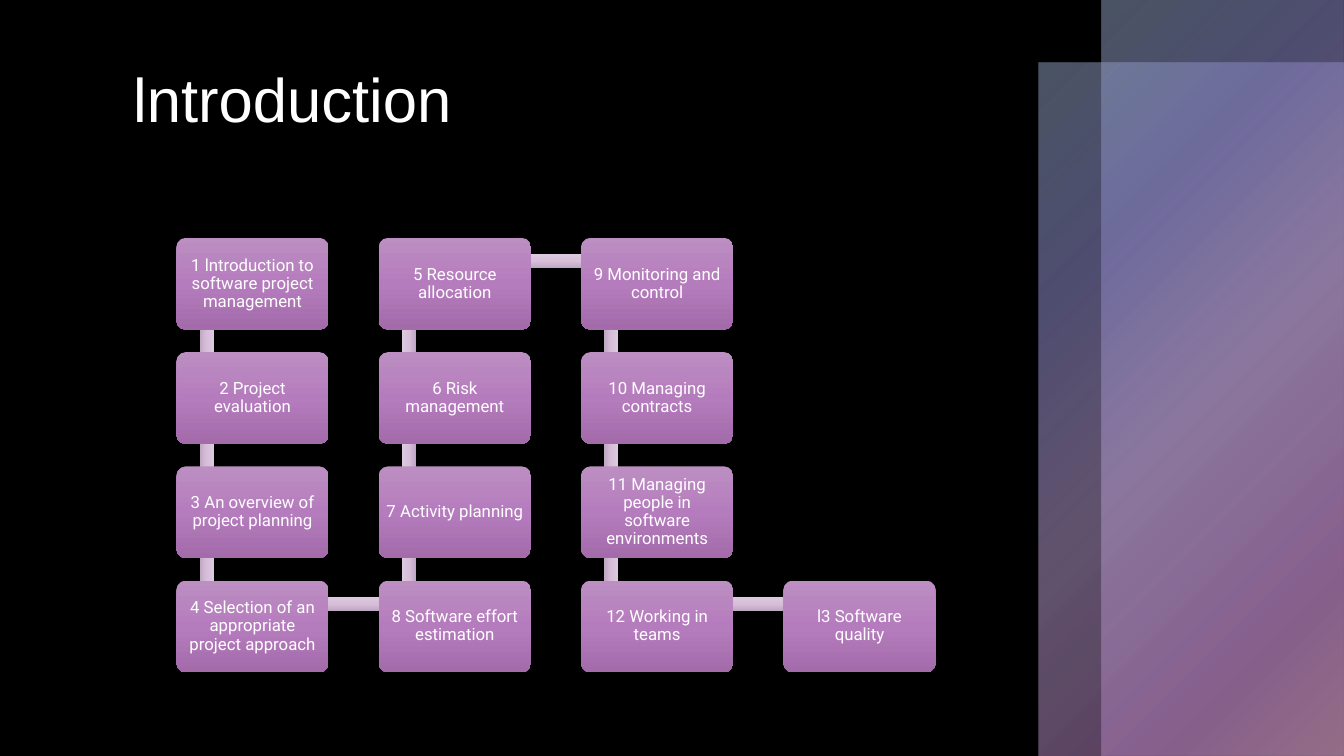
from lxml.etree import fromstring
from pptx import Presentation
from pptx.dml.color import RGBColor
from pptx.enum.shapes import MSO_SHAPE
from pptx.enum.text import MSO_ANCHOR, PP_ALIGN
from pptx.oxml.ns import nsdecls
from pptx.util import Inches, Pt

HEX = {
    "back": "000000", "text": "FFFFFF",
    "slate": "92A4C4", "blue": "827FBA", "lilac": "AD96C6",
    "plum": "B37FBA", "rose": "C593B5",
    "pale": "DCC9DF", "mist": "D7BFDA", "dusk": "C0A8C4",
    "light": "BC8EC2", "mid": "B57CBD", "deep": "A46BAB",
}
PANEL = [(0, "slate", 50), (25, "blue", 60), (50, "lilac", 55),
         (81, "plum", 50), (99, "rose", 50)]
LINK = [(0, "pale", 100), (50, "mist", 100), (100, "dusk", 100)]
CARD = [(0, "light", 100), (50, "mid", 100), (100, "deep", 100)]
DOWN = '<a:lin ang="5400000" scaled="0"/>'
ROUND = '<a:path path="circle"><a:fillToRect r="100000" b="100000"/></a:path>'

TOPICS = [
    ("1 lntroduction to software project management", 0, 0),
    ("2 Project evaluation", 0, 1),
    ("3 An overview of project planning", 0, 2),
    ("4 Selection of an appropriate project approach", 0, 3),
    ("8 Software effort estimation", 1, 3),
    ("7 Activity planning", 1, 2),
    ("6 Risk management", 1, 1),
    ("5 Resource allocation", 1, 0),
    ("9 Monitoring and control", 2, 0),
    ("10 Managing contracts", 2, 1),
    ("11 Managing people in software environments", 2, 2),
    ("12 Working in teams", 2, 3),
    ("l3 Software quality", 3, 3),
]


def assign(item, values):
    """Set each attribute in a dict of format values."""
    for name, value in values.items():
        setattr(item, name, value)


def shade(shape, stops, mode):
    """Fill a shape with a gradient of the given stops."""
    marks = "".join(
        f'<a:gs pos="{pos * 1000}"><a:srgbClr val="{HEX[tone]}">'
        f'<a:alpha val="{alpha * 1000}"/></a:srgbClr></a:gs>'
        for pos, tone, alpha in stops)
    grad = fromstring(f'<a:gradFill {nsdecls("a")} rotWithShape="1">'
                      f'<a:gsLst>{marks}</a:gsLst>{mode}</a:gradFill>')
    shape.fill.background()
    old = shape.fill._xPr.find("{*}noFill")
    old.getparent().replace(old, grad)


def block(slide, kind, box, stops, mode=DOWN):
    """Draw one borderless gradient shape in a box."""
    shape = slide.shapes.add_shape(kind, *map(Inches, box))
    shape.shadow.inherit = False
    shape.line.fill.background()
    shade(shape, stops, mode)
    return shape


def write(shape, text, frame, para, font):
    """Put formatted text in a shape."""
    area = shape.text_frame
    area.text = text
    assign(area, frame)
    line = area.paragraphs[0]
    assign(line, para)
    assign(line.font, font)
    line.font.color.rgb = RGBColor.from_string(HEX["text"])


def header(slide, box, text):
    """Place the title in its box."""
    title = slide.shapes.title
    assign(title, dict(zip(("left", "top", "width", "height"), map(Inches, box))))
    write(title, text,
          {"vertical_anchor": MSO_ANCHOR.TOP, "margin_top": Inches(0.1)},
          {"alignment": PP_ALIGN.LEFT}, {"name": "Arial", "size": Pt(44)})


def panels(slide, box):
    """Draw the two overlapping panels on the right."""
    left, top, width, height = box
    for dx, dy in ((0, 0.62), (0.63, 0)):
        area = (left + dx, top + dy, width - dx, height - dy)
        block(slide, MSO_SHAPE.RECTANGLE, area, PANEL, ROUND)


def join(slide, start, end):
    """Draw a bar between two points, turned along its run."""
    (ax, ay), (bx, by) = start, end
    size, thick = abs(bx - ax) + abs(by - ay), 0.14
    bar = block(slide, MSO_SHAPE.RECTANGLE,
                ((ax + bx - size) / 2, (ay + by - thick) / 2, size, thick), LINK)
    if ax == bx:
        bar.rotation = 90 if by > ay else 270


def card(slide, box, text):
    """Draw one topic card."""
    shape = block(slide, MSO_SHAPE.ROUNDED_RECTANGLE, box, CARD)
    shape.adjustments[0] = 0.1
    sides = ("left", "right", "top", "bottom")
    frame = {f"margin_{side}": Inches(0.05) for side in sides}
    frame.update(word_wrap=True, vertical_anchor=MSO_ANCHOR.MIDDLE)
    write(shape, text, frame,
          {"alignment": PP_ALIGN.CENTER, "line_spacing": 0.9},
          {"name": "Roboto", "size": Pt(12)})


def flow(slide, box, topics):
    """Lay the topics on a winding grid of four by four."""
    left, top, width, height = box
    wide, tall = 1.51, 0.91
    across, down = (width - wide) / 3, (height - tall) / 3
    spots = [(left + col * across, top + row * down) for _, col, row in topics]
    ends = [(x + 0.3, y + 0.23) for x, y in spots]
    for i, (text, _, _) in enumerate(topics):
        if i + 1 < len(topics):
            join(slide, ends[i], ends[i + 1])
        card(slide, (*spots[i], wide, tall), text)


def main():
    """Build and save the slide."""
    deck = Presentation()
    assign(deck, {"slide_width": Inches(13.33), "slide_height": Inches(7.5)})
    slide = deck.slides.add_slide(deck.slide_layouts[5])
    fill = slide.background.fill
    fill.solid()
    fill.fore_color.rgb = RGBColor.from_string(HEX["back"])
    header(slide, (1.22, 0.5, 8.58, 1.7), "lntroduction")
    panels(slide, (10.3, 0, 3.03, 7.5))
    flow(slide, (1.75, 2.36, 7.53, 4.31), TOPICS)
    deck.save("out.pptx")


if __name__ == "__main__":
    main()
